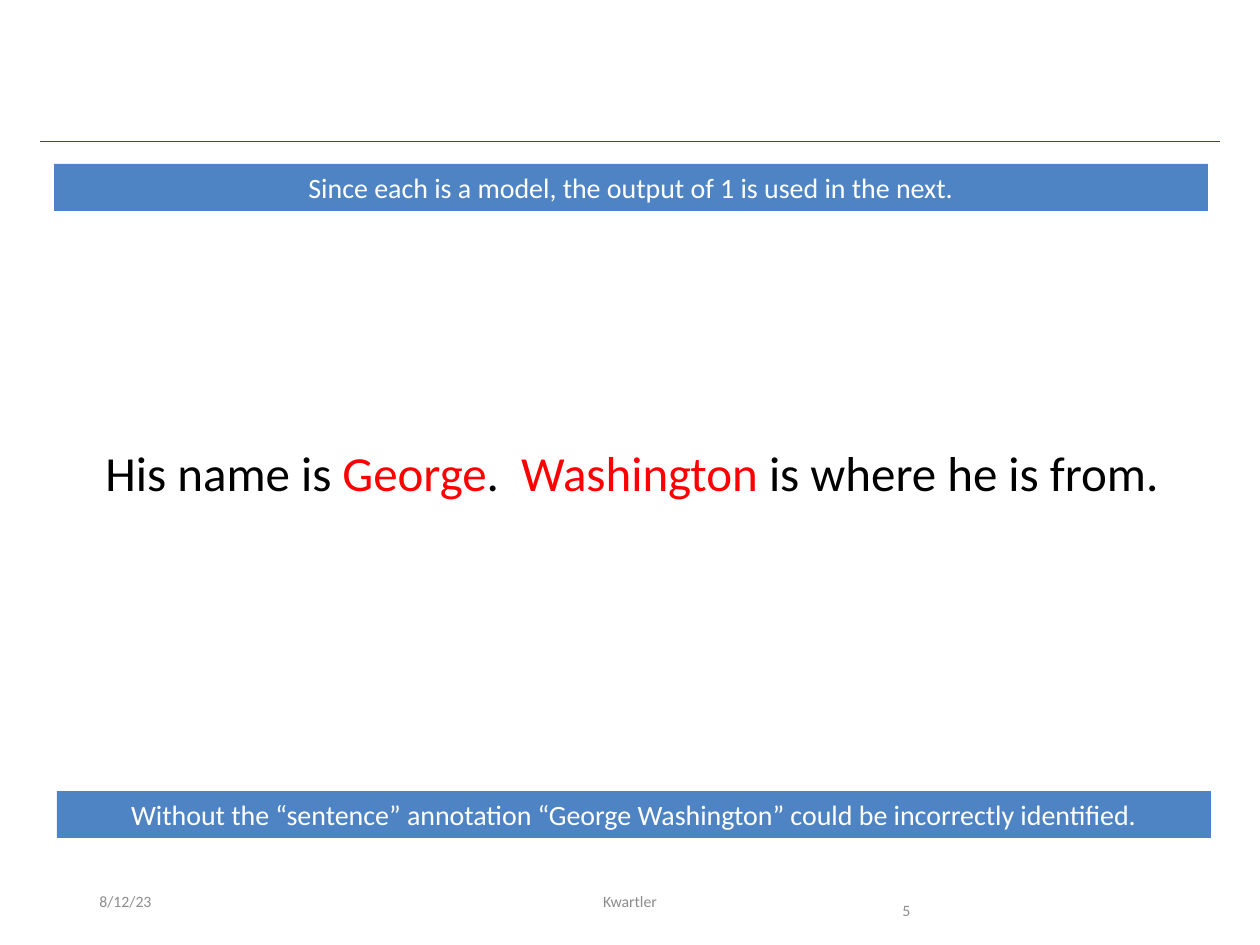
from pptx import Presentation
from pptx.dml.color import RGBColor
from pptx.enum.shapes import MSO_CONNECTOR, MSO_SHAPE
from pptx.enum.text import MSO_ANCHOR, MSO_AUTO_SIZE, PP_ALIGN
from pptx.oxml.ns import qn
from pptx.util import Pt
from lxml import etree

PX = 914400 / 126
LEFT, CENTER = PP_ALIGN.LEFT, PP_ALIGN.CENTER
TOP, MIDDLE = MSO_ANCHOR.TOP, MSO_ANCHOR.MIDDLE
BLACK = RGBColor(0x00, 0x00, 0x00)
WHITE = RGBColor(0xFF, 0xFF, 0xFF)
RED = RGBColor(0xFF, 0x00, 0x00)
BLUE = RGBColor(0x4E, 0x84, 0xC4)
GRAY = RGBColor(0x8C, 0x8C, 0x8C)
CRIMSON = RGBColor(0xA5, 0x1C, 0x30)


def px(*vals):
    """Turn pixels into a list of EMU lengths."""
    return [round(val * PX) for val in vals]


def write(shape, parts, size, align=LEFT, anchor=TOP, wrap=True):
    """Fill a shape with one paragraph of (text, colour) runs."""
    frame = shape.text_frame
    frame.word_wrap = wrap
    frame.vertical_anchor = anchor
    para = frame.paragraphs[0]
    para.alignment = align
    para.font.name = "Calibri"
    para.font.size = Pt(size)
    for text, color in parts:
        run = para.add_run()
        run.text = text
        run.font.color.rgb = color
    return frame


prs = Presentation()
prs.slide_width, prs.slide_height = px(1260, 945)
slide = prs.slides.add_slide(prs.slide_layouts[6])
shapes = slide.shapes

# Header rule
rule = shapes.add_connector(MSO_CONNECTOR.STRAIGHT, *px(40, 141, 1220, 141))
rule.line.color.rgb = CRIMSON
rule.line.width = Pt(0.5)
etree.SubElement(rule._element.spPr, qn("a:effectLst"))

# Footer
footer = [
    ("8/12/23", 87, 284, LEFT, MIDDLE, 1),
    ("5", 890, 118, LEFT, TOP, 2),
    ("Kwartler", 417, 426, CENTER, MIDDLE, 1),
]
for text, left, width, align, anchor, space in footer:
    box = shapes.add_textbox(*px(left, 876, width, 50))
    frame = write(box, [(text, GRAY)], 9, align, anchor)
    frame.paragraphs[0].line_spacing = float(space)

# Example sentence
box = shapes.add_textbox(*px(93, 436, 1090, 72))
parts = [
    ("His name is ", BLACK),
    ("George", RED),
    (".  ", BLACK),
    ("Washington", RED),
    (" is where he is from.", BLACK),
]
frame = write(box, parts, 28, wrap=False)
frame.auto_size = MSO_AUTO_SIZE.SHAPE_TO_FIT_TEXT

# Banners
banners = [
    ("Since each is a model, the output of 1 is used in the next.", 54, 164),
    ("Without the “sentence” annotation “George Washington” "
     "could be incorrectly identified.", 57, 791),
]
for text, left, top in banners:
    bar = shapes.add_shape(MSO_SHAPE.RECTANGLE, *px(left, top, 1154, 47))
    bar.shadow.inherit = False
    bar.fill.solid()
    bar.fill.fore_color.rgb = BLUE
    bar.line.fill.background()
    frame = write(bar, [(text, WHITE)], 16, CENTER)
    frame.auto_size = MSO_AUTO_SIZE.SHAPE_TO_FIT_TEXT

prs.save("out.pptx")
